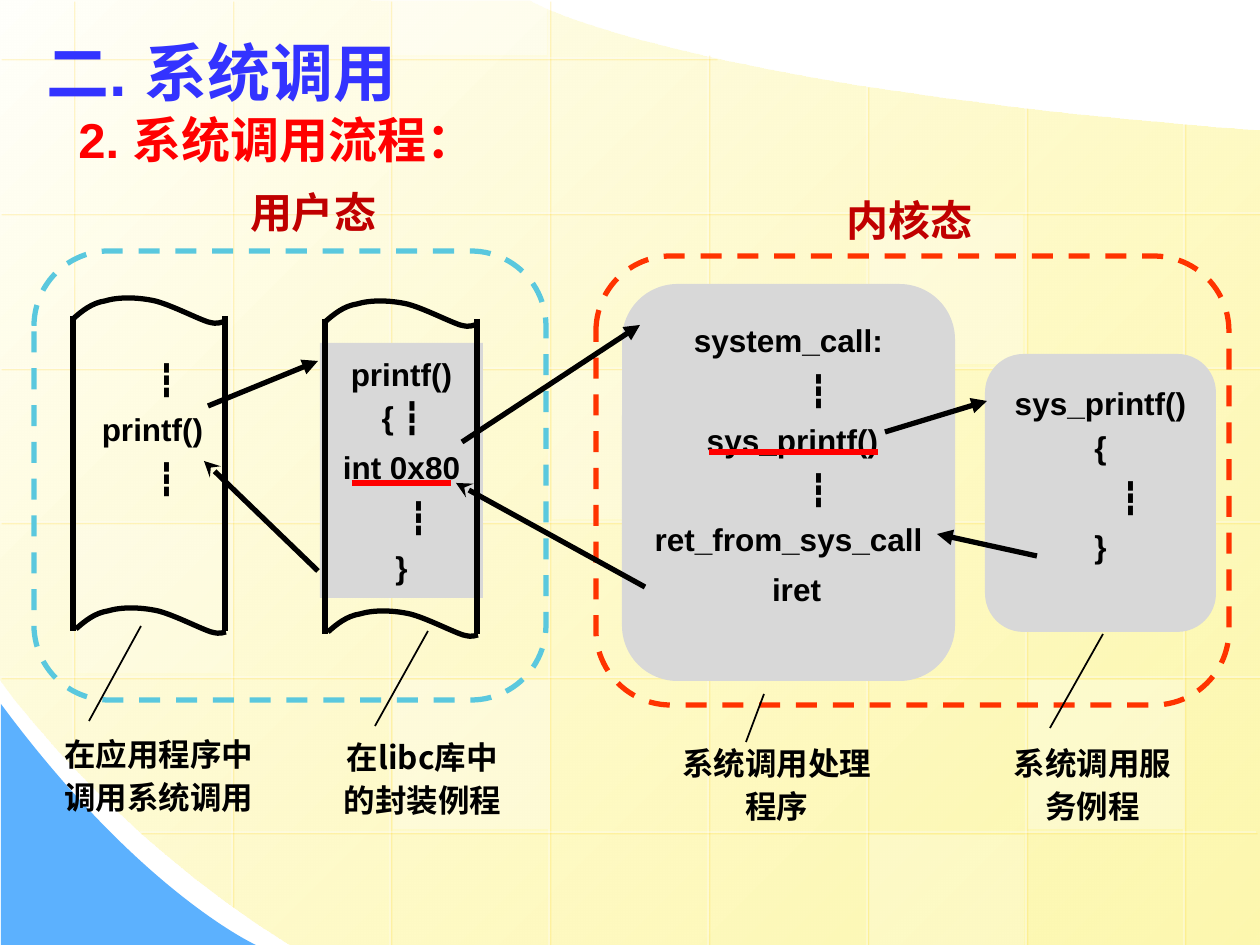
from dataclasses import dataclass

import pptx
import pptx.dml.color
import pptx.enum.dml
import pptx.enum.shapes
import pptx.enum.text
import pptx.oxml.ns
import pptx.util
from lxml import etree

qn = pptx.oxml.ns.qn
SHAPE = pptx.enum.shapes.MSO_SHAPE
ALIGN = pptx.enum.text.PP_ALIGN
ANCHOR = pptx.enum.text.MSO_ANCHOR
EMU_PER_PX = 914400 / 126
WIDTH, HEIGHT = 1260, 945


@dataclass(frozen=True)
class Theme:
    latin: str = "Arial"
    asian: str = "Noto Sans CJK SC"
    title: str = "3333FF"
    accent: str = "FF0000"
    heading: str = "C00000"
    ink: str = "000000"
    panel: str = "D8D8D8"
    user: str = "5AC8DE"
    kernel: str = "FF3300"
    white: str = "FFFFFF"
    cream: str = "FFFFFB"
    yellow: str = "FDF58D"
    blue: str = "5CB1FE"
    grid_glow: str = "FFCC00"
    title_size: int = 36
    subtitle_size: int = 28
    heading_size: int = 24
    body_size: int = 18
    thick: float = 3
    thin: float = 1
    hairline: float = 0.75


THEME = Theme()


@dataclass(frozen=True)
class Line:
    """One paragraph; shift moves its centre (or its left edge) to the right, in px."""
    text: str
    shift: int = 0
    align: ALIGN = ALIGN.CENTER


def px(value):
    return pptx.util.Emu(round(value * EMU_PER_PX))


def rgb(color):
    return pptx.dml.color.RGBColor.from_string(color)


def add_alpha(color, percent):
    etree.SubElement(color, qn("a:alpha"), val=str(percent * 1000))


def set_alpha(shape, percent):
    for color in shape._element.spPr.iter(qn("a:srgbClr")):
        add_alpha(color, percent)


def format_paragraph(paragraph, size, color, font, space_before):
    paragraph.line_spacing = 1.15
    paragraph.space_before = pptx.util.Pt(space_before)
    for run in paragraph.runs:
        run.font.name = font
        run.font.size = pptx.util.Pt(size)
        run.font.bold = True
        run.font.color.rgb = rgb(color)
        etree.SubElement(run._r.get_or_add_rPr(), qn("a:ea"), typeface=THEME.asian)


def write_lines(shape, lines, size=THEME.body_size, color=THEME.ink, font=THEME.latin):
    frame = shape.text_frame
    frame.word_wrap = True
    frame.text = "\n".join(line.text for line in lines)
    for number, (paragraph, line) in enumerate(zip(frame.paragraphs, lines)):
        paragraph.alignment = line.align
        margin = line.shift * (2 if line.align == ALIGN.CENTER else 1)
        properties = paragraph._p.get_or_add_pPr()
        properties.set("marL", str(px(margin)))
        properties.set("indent", "0")
        format_paragraph(paragraph, size, color, font, round(size * 0.2, 1) if number else 0)


def add_text(slide, box, lines, **style):
    text_box = slide.shapes.add_textbox(*map(px, box))
    write_lines(text_box, lines, **style)


def add_box(slide, kind, box, fill=None, outline=None, alpha=None):
    shape = slide.shapes.add_shape(kind, *map(px, box))
    shape.shadow.inherit = False
    if fill:
        shape.fill.solid()
        shape.fill.fore_color.rgb = rgb(fill)
    else:
        shape.fill.background()
    if outline:
        shape.line.color.rgb = rgb(outline)
        shape.line.width = pptx.util.Pt(THEME.thick)
        shape.line.dash_style = pptx.enum.dml.MSO_LINE.DASH
    else:
        shape.line.fill.background()
    if alpha:
        set_alpha(shape, alpha)
    return shape


def add_line(slide, start, end, color=THEME.ink, width=THEME.thick, head=None, tail=None):
    connector = slide.shapes.add_connector(
        pptx.enum.shapes.MSO_CONNECTOR.STRAIGHT, *map(px, (*start, *end)))
    connector.line.color.rgb = rgb(color)
    connector.line.width = pptx.util.Pt(width)
    properties = connector._element.spPr
    for tag, arrow in (("a:headEnd", head), ("a:tailEnd", tail)):
        if arrow:
            etree.SubElement(properties.find(qn("a:ln")), qn(tag), type=arrow)
    etree.SubElement(properties, qn("a:effectLst"))
    return connector


def add_grid_line(slide, start, end):
    connector = add_line(slide, start, end, THEME.white, THEME.hairline)
    set_alpha(connector, 50)
    effects = connector._element.spPr.find(qn("a:effectLst"))
    shadow = etree.SubElement(effects, qn("a:outerShdw"), dist="17780", dir="2700000")
    add_alpha(etree.SubElement(shadow, qn("a:srgbClr"), val=THEME.grid_glow), 34)


def add_outline(slide, start, segments, closed):
    """Freeform whose segments hold one point (straight) or three (cubic curve)."""
    builder = slide.shapes.build_freeform(*map(px, start))
    builder.add_line_segments([(px(x), px(y)) for segment in segments for x, y in segment],
                              close=closed)
    shape = builder.convert_to_shape()
    shape.shadow.inherit = False
    steps = iter(list(shape._element.spPr.iter(qn("a:lnTo"))))
    for segment in segments:
        first, *others = [next(steps) for _ in segment]
        if others:
            first.tag = qn("a:cubicBezTo")
            for step in others:
                first.append(step[0])
                step.getparent().remove(step)
    return shape


def add_background(slide):
    page = add_outline(slide, (WIDTH, 131), [
        [(WIDTH, 538), (WIDTH, HEIGHT), (WIDTH, HEIGHT)],
        [(WIDTH, HEIGHT), (775, HEIGHT), (290, HEIGHT)],
        [(108, 833), (-1, 679), (0, 679)], [(-1, -1)], [(530, 1)],
        [(530, 1), (677, 87), (WIDTH, 131)]], True)
    page.fill.gradient()
    page.fill.gradient_angle = 315
    for stop, color in zip(page.fill.gradient_stops, (THEME.cream, THEME.yellow)):
        stop.color.rgb = rgb(color)
    add_alpha(list(page._element.spPr.iter(qn("a:srgbClr")))[-1], 70)
    page.line.fill.background()
    corner = add_outline(slide, (1, 704), [
        [(1, 825), (1, HEIGHT), (1, HEIGHT)], [(256, HEIGHT)],
        [(256, HEIGHT), (141, 893), (1, 704)]], True)
    corner.fill.solid()
    corner.fill.fore_color.rgb = rgb(THEME.blue)
    corner.line.fill.background()

    tops = (0, 0, 0, 0, 54, 86, 107, 123)
    bottoms = (767, 906, 945) + (948,) * 5
    for column, (top, bottom) in enumerate(zip(tops, bottoms)):
        x = round(73 + 158.75 * column)
        add_grid_line(slide, (x, top), (x, bottom))
    spans = ((0, 716),) + ((0, 1261),) * 4 + ((140, 1256),)
    for row, (left, right) in enumerate(spans):
        y = round(58 + 154.75 * row)
        add_grid_line(slide, (right, y), (left, y))
    for x, y, height, alpha in ((552, 370, 149, 25), (1028, 680, 149, 30),
                                (76, 524, 149, 20), (869, 835, 110, 20),
                                (392, 0, 55, 40), (393, 680, 149, 30),
                                (868, 215, 149, 30)):
        add_box(slide, SHAPE.RECTANGLE, (x, y, 155, height), THEME.white, alpha=alpha)


def add_scroll(slide, left, top):
    """Two upright edges with a wave across the top and the bottom."""
    for x in (left, left + 152):
        add_line(slide, (x, top + 19), (x, top + 334))
    wave = [[(9, 14), (19, 6), (32, 4)], [(45, 0), (64, 0), (82, 4)],
            [(98, 8), (123, 21), (135, 25)], [(146, 28), (147, 25), (150, 25)]]
    for x, y in ((left, top), (left + 3, top + 310)):
        segments = [[(x + dx, y + dy) for dx, dy in segment] for segment in wave]
        edge = add_outline(slide, (x, y + 22), segments, False)
        edge.fill.background()
        edge.line.color.rgb = rgb(THEME.ink)
        edge.line.width = pptx.util.Pt(THEME.thick)


def add_panel(slide, box, lines):
    panel = add_box(slide, SHAPE.ROUNDED_RECTANGLE, box, THEME.panel)
    write_lines(panel, lines)
    panel.text_frame.vertical_anchor = ANCHOR.MIDDLE
    panel.text_frame.margin_bottom = px(48)


def add_title(slide):
    title = slide.shapes.title
    title.left, title.top, title.width, title.height = map(px, (34, 26, 1134, 79))
    write_lines(title, [Line("二. 系统调用", align=ALIGN.LEFT)], THEME.title_size, THEME.title)
    title.text_frame.vertical_anchor = ANCHOR.MIDDLE
    slide.shapes._spTree.append(title._element)
    add_text(slide, (3, 95, 912, 89), [Line("2. 系统调用流程：", 63, ALIGN.LEFT)],
             size=THEME.subtitle_size, color=THEME.accent)


def main():
    presentation = pptx.Presentation()
    presentation.slide_width, presentation.slide_height = px(WIDTH), px(HEIGHT)
    slide = presentation.slides.add_slide(presentation.slide_layouts[5])
    add_background(slide)

    for box, color in (((34, 251, 512, 449), THEME.user), ((596, 256, 633, 449), THEME.kernel)):
        add_box(slide, SHAPE.ROUNDED_RECTANGLE, box, outline=color)
    add_scroll(slide, 73, 297)
    add_text(slide, (71, 348, 155, 160),
             [Line("┇", 18), Line("printf()", 4), Line("┇", 18)])
    library = add_box(slide, SHAPE.RECTANGLE, (320, 343, 163, 255), THEME.panel)
    write_lines(library, [Line("printf(){ ┇"), Line("int 0x80"), Line("┇", 17), Line("}")])
    library.text_frame.vertical_anchor = ANCHOR.TOP
    add_scroll(slide, 325, 300)
    add_panel(slide, (622, 284, 333, 397),
              [Line("system_call:"), Line("┇", 30), Line("sys_printf()", 4), Line("┇", 30),
               Line("ret_from_sys_call"), Line("iret", 8)])
    add_panel(slide, (985, 354, 231, 278), [Line("sys_printf(){"), Line("┇", 30), Line("}")])

    for start, end in (((208, 406), (318, 361)), ((462, 442), (640, 325)),
                       ((885, 432), (987, 401)), ((1037, 556), (937, 534))):
        add_line(slide, start, end, tail="triangle")
    for start, end in (((204, 461), (318, 571)), ((456, 483), (645, 587))):
        add_line(slide, start, end, head="stealth")

    for text, box in (("用户态", (228, 173, 170, 72)), ("内核态", (824, 181, 170, 71))):
        add_text(slide, box, [Line(text)], size=THEME.heading_size,
                 color=THEME.heading, font=THEME.asian)
    for text, box, start, end in (
            ("在应用程序中调用系统调用", (42, 723, 233, 101), (89, 721), (141, 626)),
            ("在libc库中的封装例程", (323, 726, 199, 101), (375, 726), (428, 631)),
            ("系统调用处理程序", (656, 732, 242, 101), (746, 742), (764, 694)),
            ("系统调用服务例程", (993, 732, 199, 101), (1050, 728), (1103, 634))):
        add_text(slide, box, [Line(text)], font=THEME.asian)
        add_line(slide, start, end, width=THEME.thin)

    add_title(slide)
    for left, right, y in ((352, 451, 483), (709, 878, 452)):
        add_line(slide, (left, y), (right, y), THEME.accent)
    presentation.save("out.pptx")


if __name__ == "__main__":
    main()
